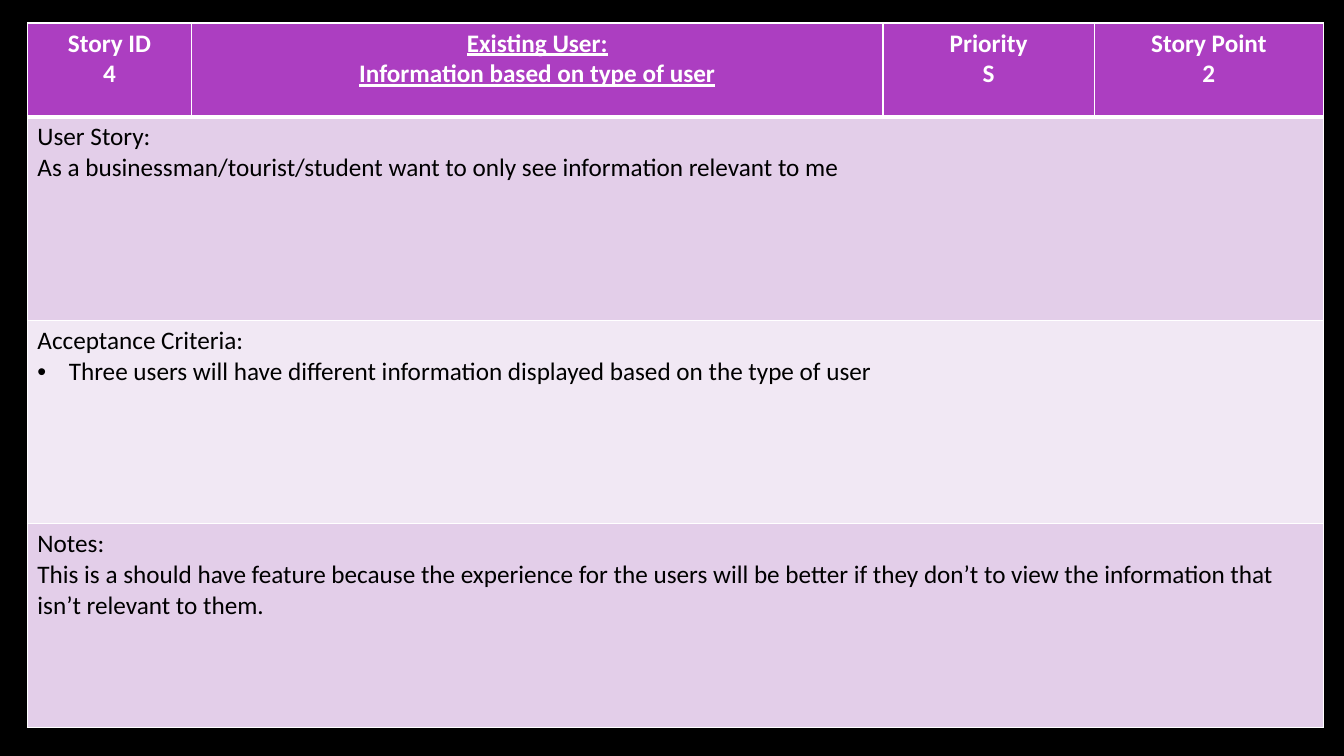
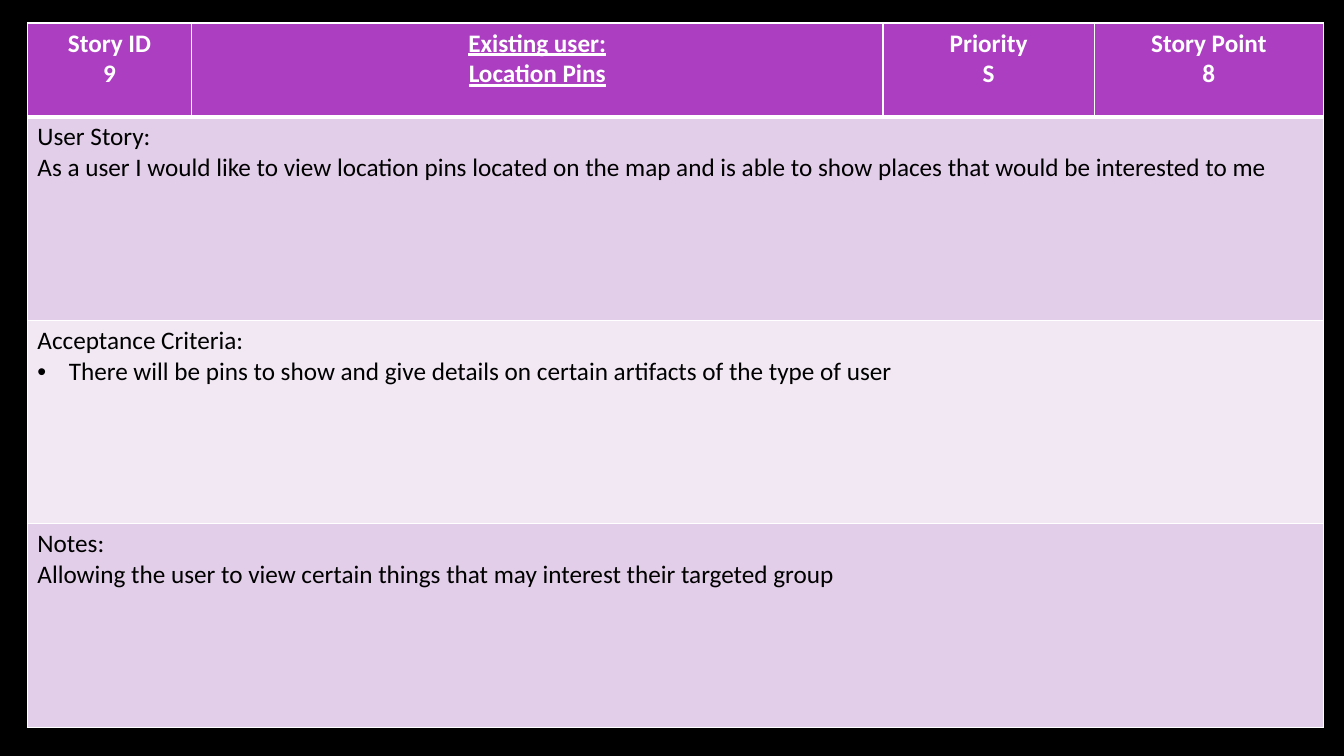
"""Build two user story cards, each a table on a black slide."""
from lxml import etree
from pptx import Presentation
from pptx import util as u
from pptx.dml.color import RGBColor
from pptx.enum import text
from pptx.oxml import ns

THEME = {
    "back": "000000", "head": "AC3EC1", "dark": "E3CEE9", "pale": "F1E8F4",
    "light": "FFFFFF", "ink": "000000", "font": "Calibri", "size": 18,
    "thin": 1, "thick": 3,
}
COLS = [4.14, 17.42, 5.33, 5.77]
ROWS = [2.36, 5.13, 5.13, 5.13]
FILLS = [THEME[key] for key in ("head", "dark", "pale", "dark")]
CARDS = [
    {
        "id": "4", "title": ["Existing User:", "Information based on type of user"],
        "rank": "S", "points": "2",
        "story": "As a businessman/tourist/student want to only see information relevant to me",
        "tests": "Three users will have different information displayed based on the type of user",
        "notes": "This is a should have feature because the experience for the users will be better "
                 "if they don’t to view the information that isn’t relevant to them.",
    },
    {
        "id": "9", "title": ["Existing user:", "Location Pins"],
        "rank": "S", "points": "8",
        "story": "As a user I would like to view location pins located on the map and is able to "
                 "show places that would be interested to me",
        "tests": "There will be pins to show and give details on certain artifacts of the type of user",
        "notes": "Allowing the user to view certain things that may interest their targeted group",
    },
]


def put(cell, lines, color=THEME["ink"], bold=False, line=False, align=None, bullet=False):
    frame = cell.text_frame
    for i, words in enumerate(lines):
        para = frame.paragraphs[0] if i == 0 else frame.add_paragraph()
        para.alignment = align
        run = para.add_run()
        run.text = words
        font = run.font
        font.name, font.size = THEME["font"], u.Pt(THEME["size"])
        font.bold, font.underline = bold, line
        font.color.rgb = RGBColor.from_string(color)
        if bullet and i > 0:
            props = para._p.get_or_add_pPr()
            props.set("marL", str(u.Cm(0.79)))
            props.set("indent", str(u.Cm(-0.79)))
            etree.SubElement(props, ns.qn("a:buFont"), typeface="Arial")
            etree.SubElement(props, ns.qn("a:buChar"), char="•")


def paint(cell, fill, top, base):
    props = cell._tc.get_or_add_tcPr()
    thin = THEME["thin"]
    for side, width in (("L", thin), ("R", thin), ("T", top), ("B", base)):
        edge = etree.SubElement(props, ns.qn("a:ln" + side), w=str(u.Pt(width)))
        solid = etree.SubElement(edge, ns.qn("a:solidFill"))
        etree.SubElement(solid, ns.qn("a:srgbClr"), val=THEME["light"])
    cell.fill.solid()
    cell.fill.fore_color.rgb = RGBColor.from_string(fill)


deck = Presentation()
deck.slide_width, deck.slide_height = u.Cm(33.87), u.Cm(19.05)

for card in CARDS:
    slide = deck.slides.add_slide(deck.slide_layouts[6])
    back = slide.background.fill
    back.solid()
    back.fore_color.rgb = RGBColor.from_string(THEME["back"])

    grid = slide.shapes.add_table(
        len(ROWS), len(COLS), u.Cm(0.69), u.Cm(0.58), u.Cm(sum(COLS)), u.Cm(sum(ROWS))
    ).table
    for col, width in zip(grid.columns, COLS):
        col.width = u.Cm(width)
    for r, (row, height) in enumerate(zip(grid.rows, ROWS)):
        row.height = u.Cm(height)
        top = THEME["thick"] if r == 1 else THEME["thin"]
        base = THEME["thick"] if r == 0 else THEME["thin"]
        for cell in row.cells:
            paint(cell, FILLS[r], top, base)

    heads = [["Story ID", card["id"]], card["title"],
             ["Priority", card["rank"]], ["Story Point", card["points"]]]
    for c, lines in enumerate(heads):
        put(grid.cell(0, c), lines, color=THEME["light"], bold=True,
            line=lines is card["title"], align=text.PP_ALIGN.CENTER)

    parts = [("User Story:", "story"), ("Acceptance Criteria:", "tests"), ("Notes:", "notes")]
    for r, (label, key) in enumerate(parts, 1):
        cell = grid.cell(r, 0)
        cell.merge(grid.cell(r, len(COLS) - 1))
        put(cell, [label, card[key]], bullet=key == "tests")

deck.save("out.pptx")
